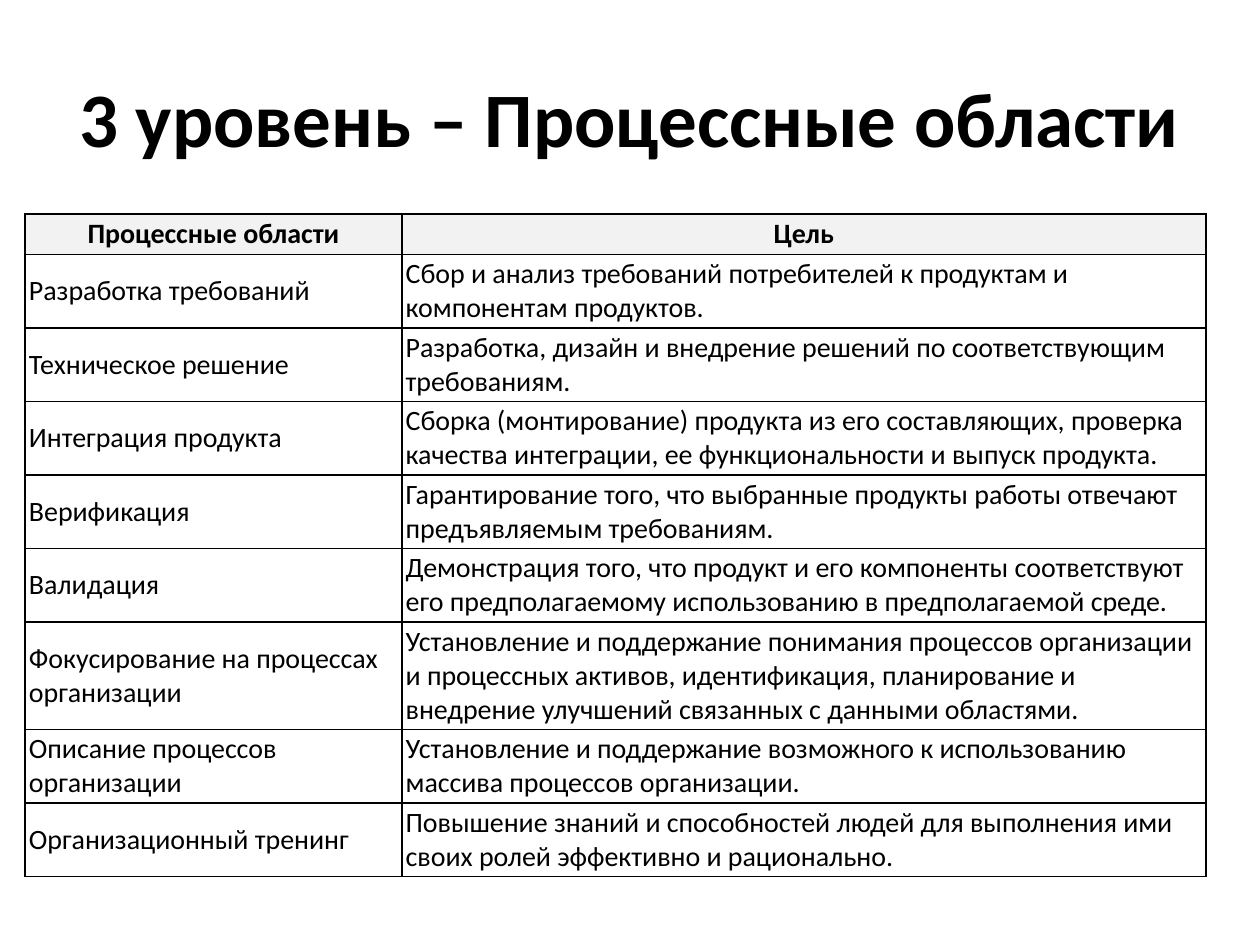
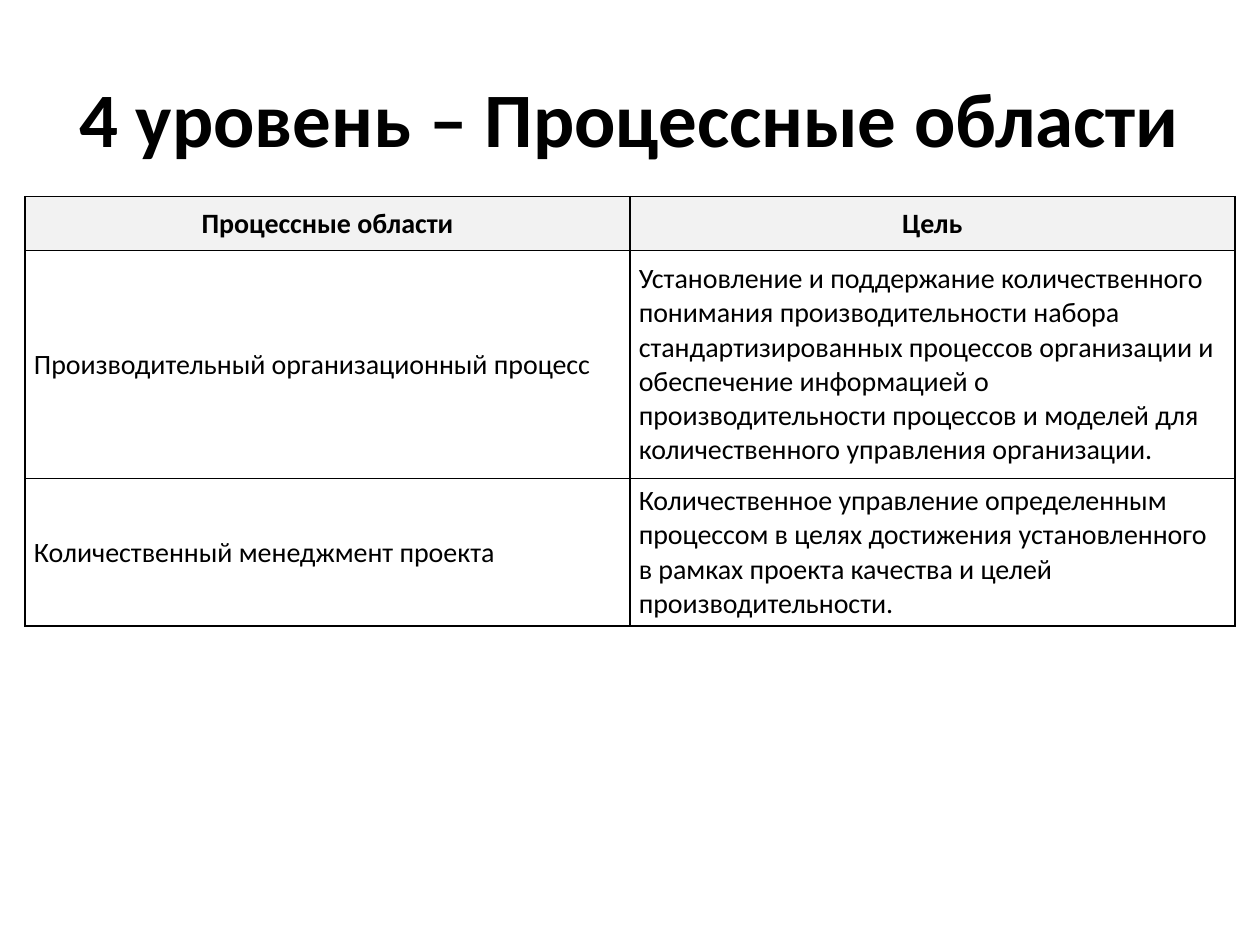
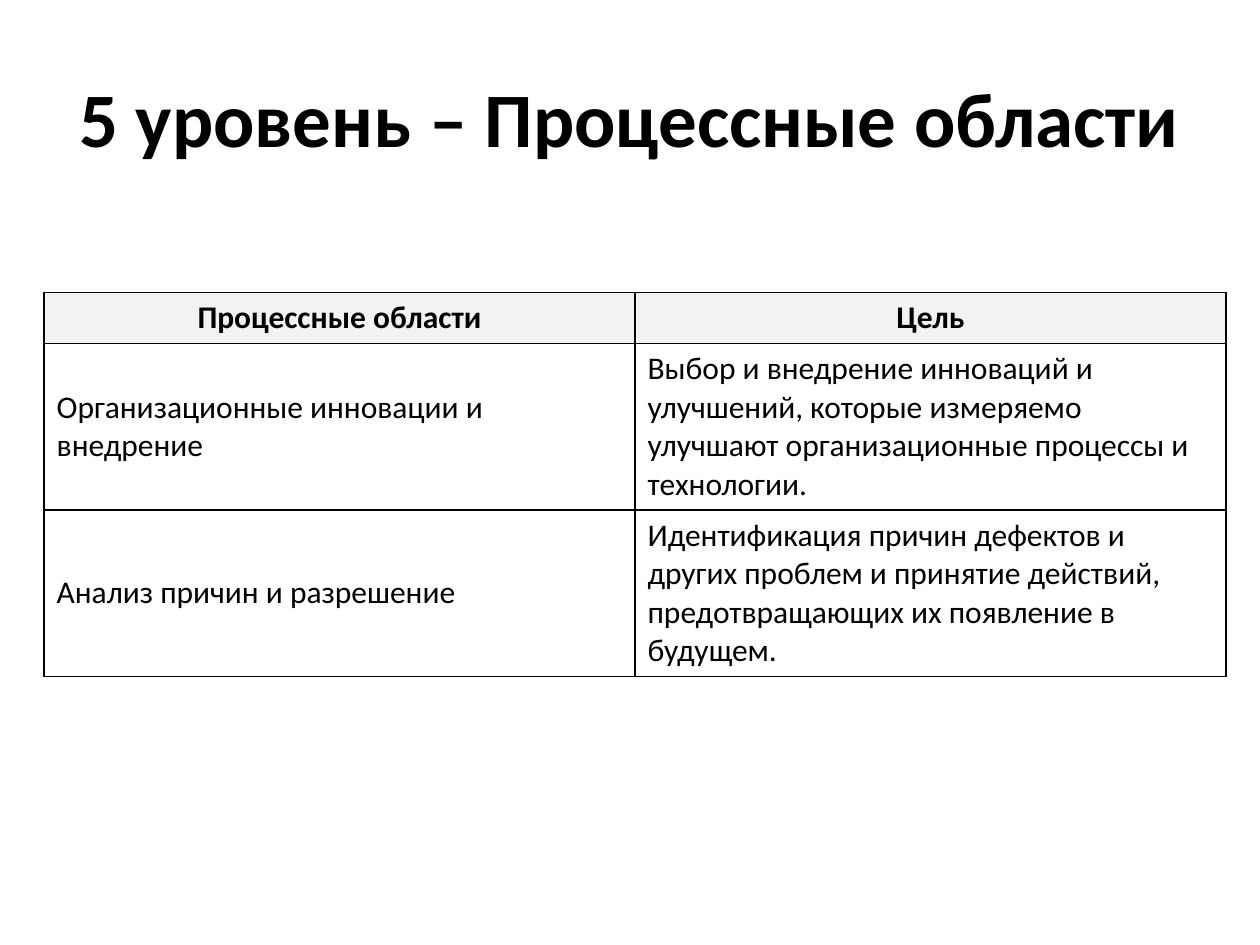
import pptx
import pptx.util
import pptx.dml.color
import pptx.enum.text
import pptx.oxml.xmlchemy
from pptx.util import Inches

BLACK = pptx.dml.color.RGBColor(0x00, 0x00, 0x00)
HEADER_FILL = pptx.dml.color.RGBColor(0xF2, 0xF2, 0xF2)
FONT = "Calibri"
CENTER = pptx.enum.text.PP_ALIGN.CENTER
LEFT = pptx.enum.text.PP_ALIGN.LEFT
MIDDLE = pptx.enum.text.MSO_ANCHOR.MIDDLE
TITLE_ONLY = 5

TITLE_BOX = (0.5, 0.3, 9, 1.25)
HEADER = ("Процессные области", "Цель")

# Process areas and their goals, by maturity level
LEVEL_3 = [
    ("Разработка требований",
     "Сбор и анализ требований потребителей к продуктам и компонентам продуктов."),
    ("Техническое решение",
     "Разработка, дизайн и внедрение решений по соответствующим требованиям."),
    ("Интеграция продукта",
     "Сборка (монтирование) продукта из его составляющих, проверка качества "
     "интеграции, ее функциональности и выпуск продукта."),
    ("Верификация",
     "Гарантирование того, что выбранные продукты работы отвечают "
     "предъявляемым требованиям."),
    ("Валидация",
     "Демонстрация того, что продукт и его компоненты соответствуют его "
     "предполагаемому использованию в предполагаемой среде."),
    ("Фокусирование на процессах организации",
     "Установление и поддержание понимания процессов организации и процессных "
     "активов, идентификация, планирование и внедрение улучшений связанных с "
     "данными областями."),
    ("Описание процессов организации",
     "Установление и поддержание возможного к использованию массива процессов "
     "организации."),
    ("Организационный тренинг",
     "Повышение знаний и способностей людей для выполнения ими своих ролей "
     "эффективно и рационально."),
]
LEVEL_4 = [
    ("Производительный организационный процесс",
     "Установление и поддержание количественного понимания производительности "
     "набора стандартизированных процессов организации и обеспечение "
     "информацией о производительности процессов и моделей для "
     "количественного управления организации."),
    ("Количественный менеджмент проекта",
     "Количественное управление определенным процессом в целях достижения "
     "установленного в рамках проекта качества и целей производительности."),
]
LEVEL_5 = [
    ("Организационные инновации и внедрение",
     "Выбор и внедрение инноваций и улучшений, которые измеряемо улучшают "
     "организационные процессы и технологии."),
    ("Анализ причин и разрешение",
     "Идентификация причин дефектов и других проблем и принятие действий, "
     "предотвращающих их появление в будущем."),
]


def format_text(tf, size, bold, align):
    for p in tf.paragraphs:
        p.alignment = align
        for r in p.runs:
            r.font.name = FONT
            r.font.size = pptx.util.Pt(size)
            r.font.bold = bold
            r.font.color.rgb = BLACK


def add_borders(cell):
    tc_pr = cell._tc.get_or_add_tcPr()
    for side in ("a:lnL", "a:lnR", "a:lnT", "a:lnB"):
        ln = pptx.oxml.xmlchemy.OxmlElement(side)
        ln.set("w", str(pptx.util.Pt(1)))
        fill = pptx.oxml.xmlchemy.OxmlElement("a:solidFill")
        color = pptx.oxml.xmlchemy.OxmlElement("a:srgbClr")
        color.set("val", str(BLACK))
        fill.append(color)
        ln.append(fill)
        tc_pr.append(ln)


def add_title(s, text, box):
    title = s.shapes.title
    title.left, title.top, title.width, title.height = map(Inches, box)
    tf = title.text_frame
    tf.text = text
    tf.word_wrap = True
    tf.vertical_anchor = MIDDLE
    format_text(tf, 44, True, CENTER)


def add_area_table(s, areas, left, top, cols, heights, size, insets):
    rows = [HEADER] + areas
    table = s.shapes.add_table(
        len(rows), len(cols), Inches(left), Inches(top),
        Inches(sum(cols)), Inches(sum(heights))).table
    table.first_row = table.horz_banding = False
    for column, width in zip(table.columns, cols):
        column.width = Inches(width)
    for i, (texts, height) in enumerate(zip(rows, heights)):
        table.rows[i].height = Inches(height)
        is_header = i == 0
        for j, text in enumerate(texts):
            cell = table.cell(i, j)
            cell.text_frame.text = text
            cell.vertical_anchor = MIDDLE
            cell.margin_left = cell.margin_right = Inches(insets[0])
            cell.margin_top = cell.margin_bottom = Inches(insets[1])
            format_text(cell.text_frame, size, is_header, CENTER if is_header else LEFT)
            add_borders(cell)
            if is_header:
                cell.fill.solid()
                cell.fill.fore_color.rgb = HEADER_FILL
            else:
                cell.fill.background()


def add_level_slide(prs, level, **table):
    s = prs.slides.add_slide(prs.slide_layouts[TITLE_ONLY])
    add_title(s, f"{level} уровень – Процессные области", TITLE_BOX)
    add_area_table(s, **table)


def main():
    prs = pptx.Presentation()
    prs.slide_width, prs.slide_height = Inches(10), Inches(7.5)
    add_level_slide(prs, 3, areas=LEVEL_3, left=0.2, top=1.7, cols=(2.99, 6.38),
                    heights=[0.32] + [0.58] * 5 + [0.85] + [0.58] * 2,
                    size=16, insets=(0.03, 0.02))
    add_level_slide(prs, 4, areas=LEVEL_4, left=0.2, top=1.56, cols=(4.8, 4.8),
                    heights=[0.43, 1.81, 1.17], size=16, insets=(0.07, 0.04))
    add_level_slide(prs, 5, areas=LEVEL_5, left=0.35, top=2.32, cols=(4.69, 4.69),
                    heights=[0.4, 1.32, 1.32], size=18, insets=(0.1, 0.05))
    prs.save("out.pptx")


if __name__ == "__main__":
    main()
